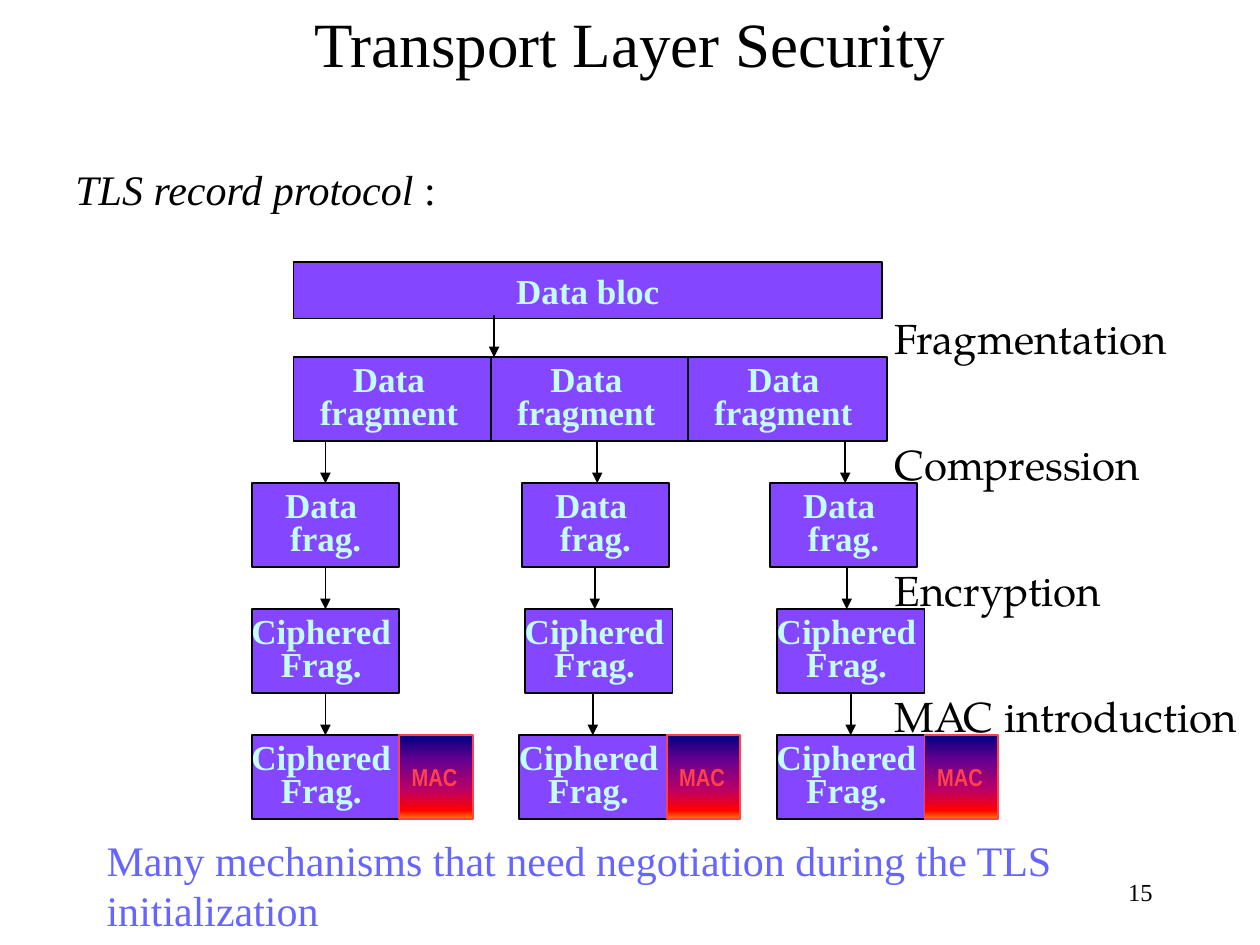
from lxml import etree
from pptx import Presentation
from pptx.dml.color import RGBColor
from pptx.enum.shapes import MSO_CONNECTOR, MSO_SHAPE
from pptx.enum.text import MSO_ANCHOR as Anchor, PP_ALIGN as Align
from pptx.oxml.ns import qn
from pptx.util import Cm, Pt

BLACK = RGBColor(0x00, 0x00, 0x00)
VIOLET = RGBColor(0x84, 0x47, 0xFF)
PALE = RGBColor(0xC4, 0xFE, 0xFA)
RED = RGBColor(0xFF, 0x41, 0x4C)
BLUE = RGBColor(0x66, 0x66, 0xFF)
SERIF, LABEL_FONT, NARROW = "Times New Roman", "TeX Gyre Pagella", "Arial Narrow"
MAC_STOPS = [(0, "000082"), (30, "66008F"), (65, "BA0066"),
             (90, "FF0000"), (100, "FF8200")]

# Content: each stage has box lines, box width, box lefts, arrow positions (cm)
STAGES = [
    (["Data ", "fragment "], 4.02, [5.92, 9.9, 13.87], [9.96]),
    (["Data ", "frag."], 2.97, [5.08, 10.52, 15.52], [6.56, 12.04, 17.04]),
    (["Ciphered ", "Frag. "], 2.97, [5.08, 10.59, 15.67], [6.56, 11.99, 17.07]),
    (["Ciphered ", "Frag. "], 2.97, [5.08, 10.47, 15.67], [6.56, 11.95, 17.15]),
]
STEPS = ["Fragmentation", "Compression", "Encryption", "MAC introduction"]
FIRST_TOP, ROW_STEP, BOX_HEIGHT = 7.2, 2.54, 1.69
ARROW_LENGTH = ROW_STEP - BOX_HEIGHT
MAC_WIDTH = 1.48

deck = Presentation()
deck.slide_width, deck.slide_height = Cm(25.4), Cm(19.05)
page = deck.slides.add_slide(deck.slide_layouts[6])


def write(shape, lines, font=SERIF, size=24, color=BLACK, bold=False,
          align=Align.LEFT, anchor=Anchor.TOP, wrap=False, spacing=None, before=0):
    """Each line is a paragraph: a string or a list of (text, italic) spans."""
    frame = shape.text_frame
    frame.word_wrap, frame.vertical_anchor = wrap, anchor
    for index, line in enumerate(lines):
        para = frame.add_paragraph() if index else frame.paragraphs[0]
        para.alignment, para.line_spacing = align, spacing
        para.space_before = Pt(before)
        for text, italic in ([(line, False)] if isinstance(line, str) else line):
            span = para.add_run()
            span.text = text
            span.font.name, span.font.size = font, Pt(size)
            span.font.bold, span.font.italic = bold, italic
            span.font.color.rgb = color


def add_text(left, top, width, height, lines, **style):
    write(page.shapes.add_textbox(Cm(left), Cm(top), Cm(width), Cm(height)),
          lines, **style)


def add_box(left, top, width, height, lines, line_color=BLACK, **style):
    box = page.shapes.add_shape(MSO_SHAPE.RECTANGLE, Cm(left), Cm(top),
                                Cm(width), Cm(height))
    box.shadow.inherit = False
    box.fill.solid()
    box.fill.fore_color.rgb = VIOLET
    box.line.color.rgb, box.line.width = line_color, Pt(1)
    write(box, lines, anchor=Anchor.MIDDLE, **style)
    return box


def add_mac(left, top):
    box = add_box(left, top, MAC_WIDTH, BOX_HEIGHT, ["MAC"], line_color=RED,
                  font=NARROW, size=14, color=RED, bold=True)
    box.fill.gradient()
    box.fill.gradient_angle = 270
    stops = box.element.spPr.find(qn("a:gradFill")).find(qn("a:gsLst"))
    for stop in list(stops):
        stops.remove(stop)
    for percent, color in MAC_STOPS:
        stop = etree.SubElement(stops, qn("a:gs"), pos=str(percent * 1000))
        etree.SubElement(stop, qn("a:srgbClr"), val=color)


def add_arrow(x, bottom):
    arrow = page.shapes.add_connector(MSO_CONNECTOR.STRAIGHT, Cm(x),
                                      Cm(bottom - ARROW_LENGTH), Cm(x), Cm(bottom))
    arrow.line.color.rgb, arrow.line.width = BLACK, Pt(1)
    etree.SubElement(arrow.line._get_or_add_ln(), qn("a:tailEnd"), type="triangle")
    etree.SubElement(arrow.element.spPr, qn("a:effectLst"))


# Title, heading, closing remark and page number
add_text(1.27, -0.03, 22.86, 1.96, ["Transport Layer Security"], size=36,
         align=Align.CENTER, wrap=True)
add_text(1.27, 3.18, 23.5, 1.4, [[("TLS record protocol ", True), (":", False)]],
         wrap=True, before=4.8)
add_text(1.9, 16.69, 22.4, 1.42,
         ["Many mechanisms that need negotiation during the TLS initialization"],
         color=BLUE, wrap=True, before=4.8)
add_text(18.21, 17.35, 5.28, 1.27, ["15"], size=14, align=Align.RIGHT,
         anchor=Anchor.MIDDLE)

# Record diagram
block_style = dict(size=20, color=PALE, bold=True, align=Align.CENTER)
add_box(5.92, 5.28, 11.86, 1.14, ["Data bloc"], **block_style)
for row, ((lines, width, lefts, arrows), step) in enumerate(zip(STAGES, STEPS)):
    top = FIRST_TOP + row * ROW_STEP
    for left in lefts:
        add_box(left, top, width, BOX_HEIGHT, lines, spacing=0.8, **block_style)
        if row == len(STAGES) - 1:
            add_mac(left + width, top)
    for x in arrows:
        add_arrow(x, top)
    add_text(17.78, top - 1.03, 7.5, 1.27, [step], font=LABEL_FONT)

deck.save("out.pptx")
